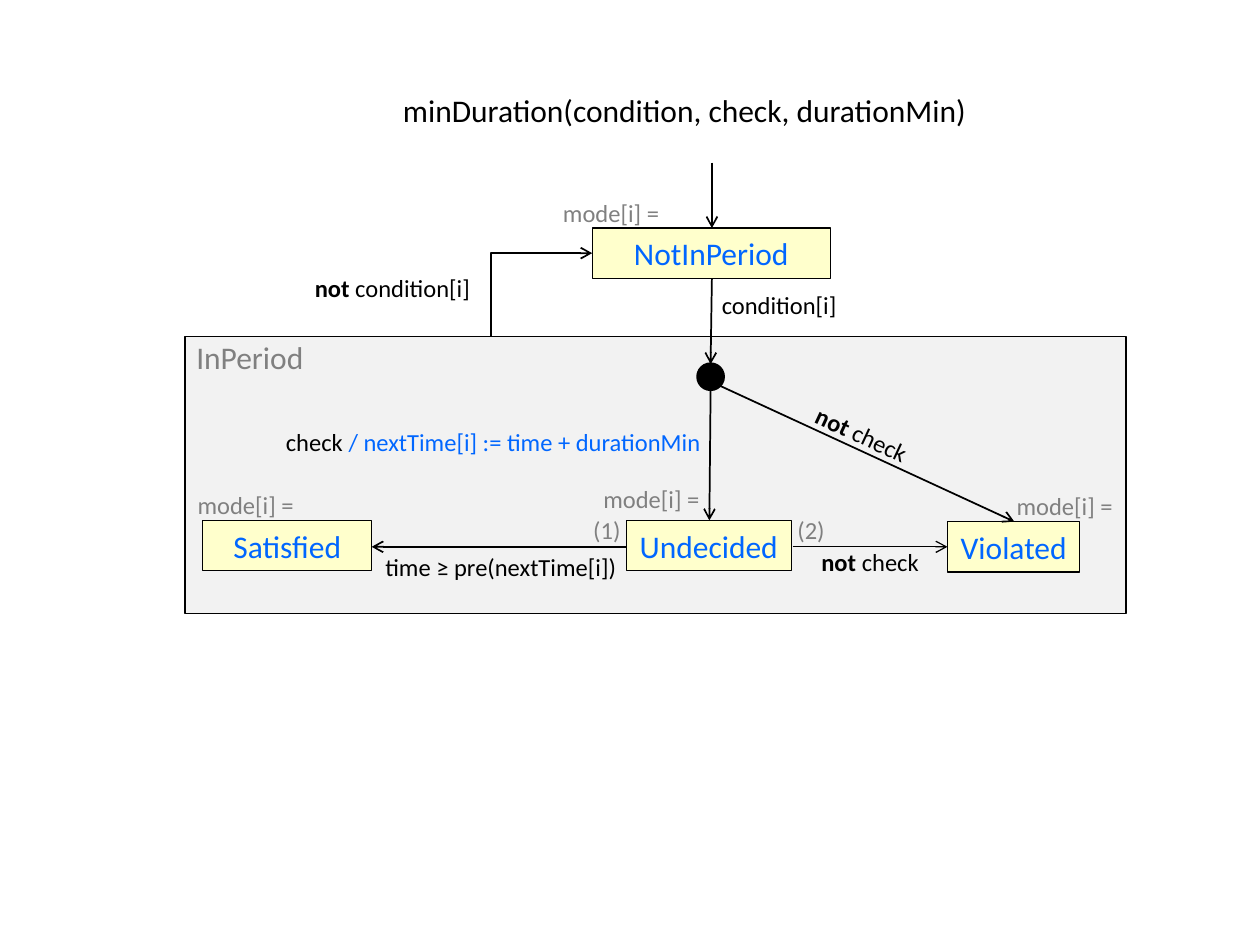
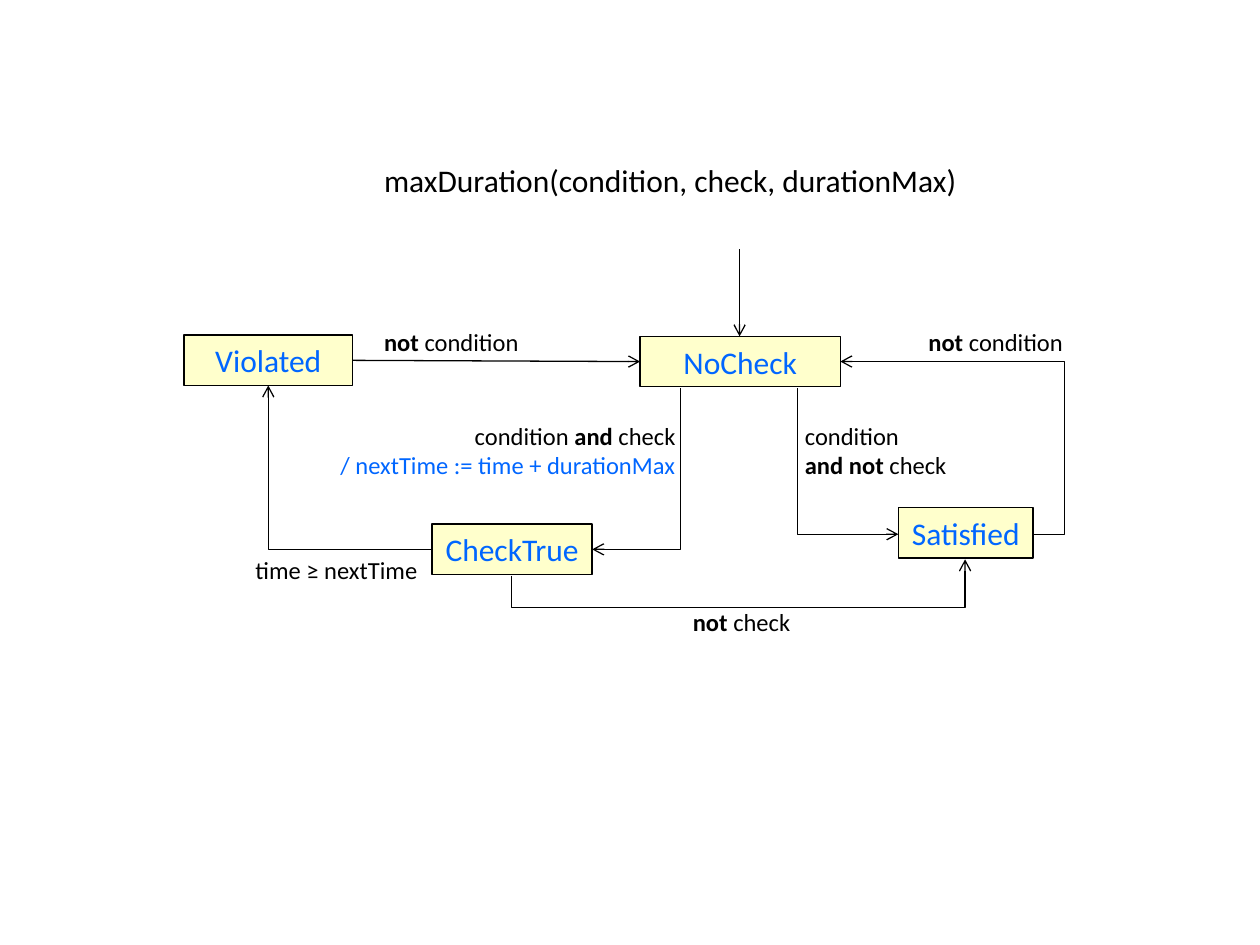
from pptx import Presentation
from pptx.dml.color import RGBColor
from pptx.enum.shapes import MSO_CONNECTOR, MSO_SHAPE
from pptx.enum.text import MSO_ANCHOR, MSO_AUTO_SIZE, PP_ALIGN
from pptx.oxml.ns import qn
from pptx.util import Inches, Pt
from lxml import etree

RECT, OVAL = MSO_SHAPE.RECTANGLE, MSO_SHAPE.OVAL
STRAIGHT, ELBOW = MSO_CONNECTOR.STRAIGHT, MSO_CONNECTOR.ELBOW
LEFT, CENTER, RIGHT = PP_ALIGN.LEFT, PP_ALIGN.CENTER, PP_ALIGN.RIGHT
MIDDLE, FIT = MSO_ANCHOR.MIDDLE, MSO_AUTO_SIZE.SHAPE_TO_FIT_TEXT

COLORS = {"ink": "000000", "action": "0066FF", "note": "808080",
          "state": "FFFFCC", "region": "F2F2F2"}
FONT = "Calibri"
STATE_HEIGHT = 0.4
NAME_SIZE, LABEL_SIZE = 18, 14
LINE_HEIGHTS = {NAME_SIZE: 0.4, LABEL_SIZE: 0.34}
EXTRA_LINE = 0.23
PLAIN, BOLD, ACTION = "plain", "bold", "action"


def label(left, top, width, *runs, align=LEFT, color="ink", size=LABEL_SIZE, turn=0):
    runs = [(run, PLAIN) if isinstance(run, str) else run for run in runs]
    return dict(left=left, top=top, width=width, runs=runs, align=align,
                color=color, size=size, turn=turn)


def mode(left, top):
    return label(left, top, 0.97, "mode[i] =", color="note")


NOT = ("not ", BOLD)

MIN_DURATION = {
    "regions": [(RECT, 1.47, 2.67, 7.47, 2.2, "region", 1),
                (OVAL, 5.54, 2.89, 0.2, 0.2, "ink", 2)],
    "states": [("NotInPeriod", 4.7, 1.81, 1.89), ("Satisfied", 1.61, 4.13, 1.34),
               ("Undecided", 4.97, 4.13, 1.31), ("Violated", 7.52, 4.14, 1.05)],
    "arrows": [(1, (5.65, 1.29), (5.65, 1.81)),
               (1, (5.65, 2.21), (5.64, 2.89)),
               (1, (5.64, 3.09), (5.63, 4.13)),
               (1, (5.71, 3.06), (8.05, 4.14)),
               (1, (4.97, 4.34), (2.95, 4.34)),
               (0.75, (6.29, 4.34), (7.52, 4.34)),
               (1, (3.9, 2.67), (3.9, 2.67), (3.9, 2.01), (4.7, 2.01))],
    "labels": [
        label(3.1, 0.67, 4.73, "minDuration(condition, check, durationMin)", size=NAME_SIZE),
        label(1.46, 2.63, 1.06, "InPeriod", color="note", size=NAME_SIZE),
        label(2.14, 3.34, 3.52, "check ",
              ("/ nextTime[i] := time + durationMin", ACTION), align=RIGHT),
        label(2.95, 4.33, 2.05, "time ≥ pre(nextTime[i])", align=CENTER),
        label(6.42, 4.29, 1.02, NOT, "check "),
        label(6.35, 3.29, 1.02, NOT, "check ", turn=25),
        label(5.63, 2.25, 1.12, "condition[i]"),
        label(2.4, 2.12, 1.44, NOT, "condition[i]"),
        mode(4.37, 1.52), mode(7.97, 3.85), mode(1.47, 3.84), mode(4.69, 3.79),
        label(4.61, 4.04, 0.42, "(1)", color="note"),
        label(6.23, 4.04, 0.42, "(2)", color="note"),
    ],
}

MAX_DURATION = {
    "regions": [],
    "states": [("NoCheck", 5.08, 2.67, 1.59), ("Violated", 1.46, 2.66, 1.34),
               ("CheckTrue", 3.43, 4.16, 1.27), ("Satisfied", 7.13, 4.03, 1.07)],
    "arrows": [(0.75, (5.87, 1.98), (5.87, 2.67)),
               (0.75, (2.8, 2.86), (5.08, 2.87)),
               (0.75, (3.43, 4.36), (2.13, 4.36), (2.13, 3.06)),
               (0.75, (8.2, 4.24), (8.45, 4.24), (8.45, 2.87), (6.67, 2.87)),
               (0.75, (6.33, 3.08), (6.33, 4.24), (7.13, 4.24)),
               (0.75, (5.4, 3.08), (5.4, 4.36), (4.7, 4.36)),
               (0.75, (4.06, 4.57), (4.06, 4.82), (7.66, 4.82), (7.66, 4.44))],
    "labels": [
        label(2.95, 1.23, 4.8, "maxDuration(condition, check, durationMax)", size=NAME_SIZE),
        label(2.57, 3.29, 2.89, "condition ", ("and", BOLD), " check\n",
              ("/ nextTime := time + durationMax", ACTION), align=RIGHT),
        label(1.92, 4.36, 1.5, "time ≥ nextTime", align=CENTER),
        label(5.4, 4.77, 1.02, NOT, "check "),
        label(2.95, 2.55, 1.27, NOT, "condition"),
        label(7.27, 2.55, 1.27, NOT, "condition"),
        label(6.29, 3.29, 1.36, "condition\n", ("and not ", BOLD), "check "),
    ],
}


def rgb(name):
    return RGBColor.from_string(COLORS[name])


def add_outlined(slide, kind, left, top, width, height, fill, weight):
    shape = slide.shapes.add_shape(kind, *map(Inches, (left, top, width, height)))
    shape.shadow.inherit = False
    shape.fill.solid()
    shape.fill.fore_color.rgb = rgb(fill)
    shape.line.color.rgb = rgb("ink")
    shape.line.width = Pt(weight)
    return shape


def set_font(paragraph, size, color):
    paragraph.font.name = FONT
    paragraph.font.size = Pt(size)
    paragraph.font.color.rgb = rgb(color)


def add_state(slide, name, left, top, width):
    state = add_outlined(slide, RECT, left, top, width, STATE_HEIGHT, "state", 0.75)
    frame = state.text_frame
    frame.word_wrap = False
    frame.vertical_anchor = MIDDLE
    paragraph = frame.paragraphs[0]
    paragraph.text = name
    paragraph.alignment = CENTER
    set_font(paragraph, NAME_SIZE, "action")


def add_label(slide, left, top, width, runs, align, color, size, turn):
    breaks = sum(text.count("\n") for text, _ in runs)
    height = LINE_HEIGHTS[size] + breaks * EXTRA_LINE
    box = slide.shapes.add_textbox(*map(Inches, (left, top, width, height)))
    box.rotation = turn
    frame = box.text_frame
    frame.word_wrap = False
    frame.auto_size = FIT
    paragraph = frame.paragraphs[0]
    paragraph.alignment = align
    set_font(paragraph, size, color)
    for text, style in runs:
        run = paragraph.add_run()
        run.text = text.rstrip("\n")
        if style == BOLD:
            run.font.bold = True
        if style == ACTION:
            run.font.color.rgb = rgb("action")
        if text.endswith("\n"):
            paragraph.add_line_break()


def quarter_turn_back(point, center):
    dx, dy = point[0] - center[0], point[1] - center[1]
    return center[0] + dy, center[1] - dx


def add_arrow(slide, weight, *points):
    start, *corners, end = points
    vertical_first = len(corners) > 0 and (
        corners[0][0] == start[0] and corners[0] != start)
    begin, finish = start, end
    if vertical_first:
        center = (start[0] + end[0]) / 2, (start[1] + end[1]) / 2
        begin, finish = (quarter_turn_back(point, center) for point in (start, end))
    arrow = slide.shapes.add_connector(ELBOW if corners else STRAIGHT,
                                       *map(Inches, (*begin, *finish)))
    arrow.line.color.rgb = rgb("ink")
    arrow.line.width = Pt(weight)
    properties = arrow._element.spPr
    if vertical_first:
        properties.find(qn("a:xfrm")).set("rot", str(90 * 60000))
    if corners:
        geometry = properties.find(qn("a:prstGeom"))
        geometry.set("prst", f"bentConnector{len(corners) + 1}")
    if len(corners) == 2:
        axis = 1 if vertical_first else 0
        bend = (corners[0][axis] - start[axis]) / (end[axis] - start[axis])
        etree.SubElement(geometry.find(qn("a:avLst")), qn("a:gd"),
                         name="adj1", fmla=f"val {round(bend * 100000)}")
    etree.SubElement(properties.find(qn("a:ln")), qn("a:tailEnd"), type="arrow")
    etree.SubElement(properties, qn("a:effectLst"))


deck = Presentation()
deck.slide_width, deck.slide_height = Inches(10), Inches(7.5)
for diagram in (MIN_DURATION, MAX_DURATION):
    slide = deck.slides.add_slide(deck.slide_layouts[6])
    for region in diagram["regions"]:
        add_outlined(slide, *region)
    for state in diagram["states"]:
        add_state(slide, *state)
    for arrow in diagram["arrows"]:
        add_arrow(slide, *arrow)
    for text in diagram["labels"]:
        add_label(slide, **text)
deck.save("out.pptx")
